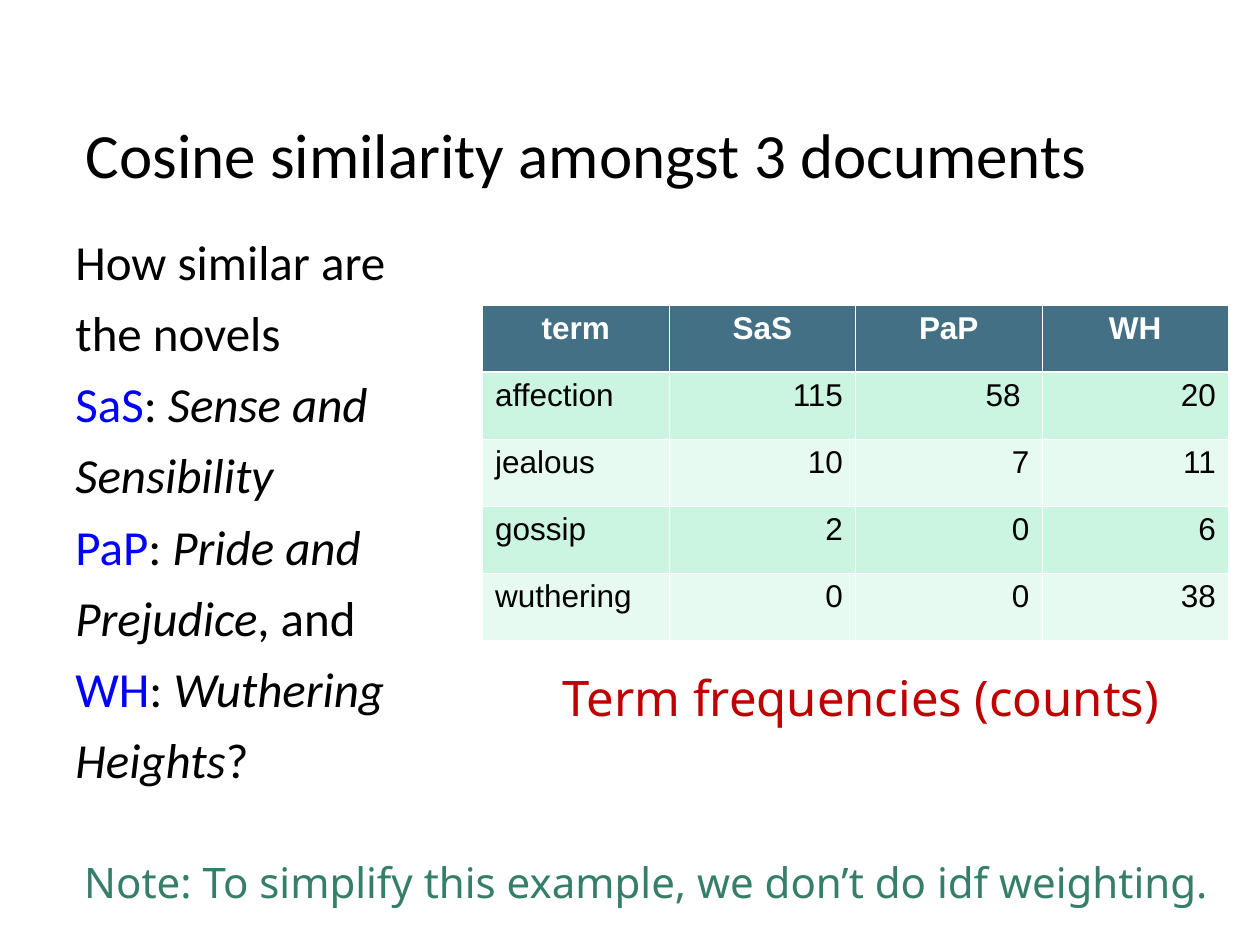
from lxml.etree import SubElement
from pptx import Presentation
from pptx.dml.color import RGBColor
from pptx.enum.text import MSO_ANCHOR, PP_ALIGN
from pptx.oxml.ns import qn
from pptx.util import Inches, Pt

SLIDE_WIDTH, SLIDE_HEIGHT = Inches(10), Inches(7.5)
BLACK, WHITE, BLUE = "000000", "FFFFFF", "0000FF"
HEADER_FILL, BAND_FILLS = "437085", ("CBF5E1", "E7FAF1")

TERM_COUNTS = [
    ("term", "SaS", "PaP", "WH"),
    ("affection", "115", "58 ", "20"),
    ("jealous", "10", "7", "11"),
    ("gossip", "2", "0", "6"),
    ("wuthering", "0", "0", "38"),
]
# Each line is a list of (text, style) pieces
QUESTION_LINES = [
    [("How similar are", "plain")],
    [("the novels", "plain")],
    [("SaS", "key"), (": ", "plain"), ("Sense and", "title")],
    [("Sensibility", "title")],
    [("PaP", "key"), (": ", "plain"), ("Pride and", "title")],
    [("Prejudice", "title"), (", and", "plain")],
    [("WH", "key"), (": ", "plain"), ("Wuthering", "title")],
    [("Heights", "title"), ("?", "plain")],
]


def color(hex_value):
    return RGBColor.from_string(hex_value)


def area(left, top, width, height):
    """Turn percentages of the slide into lengths."""
    return (int(SLIDE_WIDTH * left / 100), int(SLIDE_HEIGHT * top / 100),
            int(SLIDE_WIDTH * width / 100), int(SLIDE_HEIGHT * height / 100))


def set_font(font, name, size, hex_value, bold=False):
    font.name, font.size, font.bold = name, Pt(size), bold
    font.color.rgb = color(hex_value)


def add_title(slide, box, text):
    title = slide.shapes.title
    title.left, title.top, title.width, title.height = box
    frame = title.text_frame
    frame.text = text
    frame.vertical_anchor = MSO_ANCHOR.BOTTOM
    paragraph = frame.paragraphs[0]
    paragraph.alignment = PP_ALIGN.LEFT
    set_font(paragraph.font, "Calibri", 36, BLACK)


def add_question(slide, box):
    frame = slide.shapes.add_textbox(*box).text_frame
    frame.word_wrap = True
    for index, pieces in enumerate(QUESTION_LINES):
        paragraph = frame.add_paragraph() if index else frame.paragraphs[0]
        set_font(paragraph.font, "Calibri", 28, BLACK)
        if index:
            paragraph.space_before = Pt(7)
        for text, style in pieces:
            run = paragraph.add_run()
            run.text = text
            if style == "key":
                run.font.color.rgb = color(BLUE)
            elif style == "title":
                run.font.italic = True


def set_borders(cell, widths):
    """Draw white borders; widths maps an edge tag to points."""
    properties = cell._tc.get_or_add_tcPr()
    for index, (edge, width) in enumerate(widths.items()):
        line = SubElement(properties, qn(f"a:{edge}"), w=str(Pt(width)))
        fill = SubElement(line, qn("a:solidFill"))
        SubElement(fill, qn("a:srgbClr"), val=WHITE)
        properties.insert(index, line)


def add_count_table(slide, box):
    row_count, column_count = len(TERM_COUNTS), len(TERM_COUNTS[0])
    table = slide.shapes.add_table(row_count, column_count, *box).table
    for row_index, values in enumerate(TERM_COUNTS):
        is_header = row_index == 0
        for column_index, value in enumerate(values):
            cell = table.cell(row_index, column_index)
            cell.text = value
            cell.fill.solid()
            cell.fill.fore_color.rgb = color(
                HEADER_FILL if is_header else BAND_FILLS[(row_index - 1) % 2])
            set_borders(cell, {"lnL": 0.45, "lnR": 0.45,
                               "lnT": 1.47 if row_index == 1 else 0.45,
                               "lnB": 1.47 if is_header else 0.45})
            paragraph = cell.text_frame.paragraphs[0]
            if is_header:
                paragraph.alignment = PP_ALIGN.CENTER
            else:
                paragraph.alignment = PP_ALIGN.RIGHT if column_index else PP_ALIGN.LEFT
            set_font(paragraph.font, "Arial", 18, WHITE if is_header else BLACK, is_header)


def add_caption(slide, box, text, size, hex_value):
    frame = slide.shapes.add_textbox(*box).text_frame
    frame.word_wrap = False
    frame.text = text
    set_font(frame.paragraphs[0].font, "Noto Sans", size, hex_value)


def main():
    presentation = Presentation()
    presentation.slide_width, presentation.slide_height = SLIDE_WIDTH, SLIDE_HEIGHT
    slide = presentation.slides.add_slide(presentation.slide_layouts.get_by_name("Title Only"))

    # Heading and question
    add_title(slide, area(5.8, 4, 94.2, 16.93), "Cosine similarity amongst 3 documents")
    add_question(slide, area(5, 23.87, 32.9, 68.4))

    # Counts with their caption
    add_count_table(slide, area(38.3, 32.27, 59.2, 35.47))
    add_caption(slide, area(43.7, 70, 49.6, 7.6), "Term frequencies (counts)", 28, "C00000")

    # Closing note
    add_caption(slide, area(5.7, 90, 91.5, 6.67),
                "Note: To simplify this example, we don’t do idf weighting.", 24, "357E69")
    presentation.save("out.pptx")


if __name__ == "__main__":
    main()
